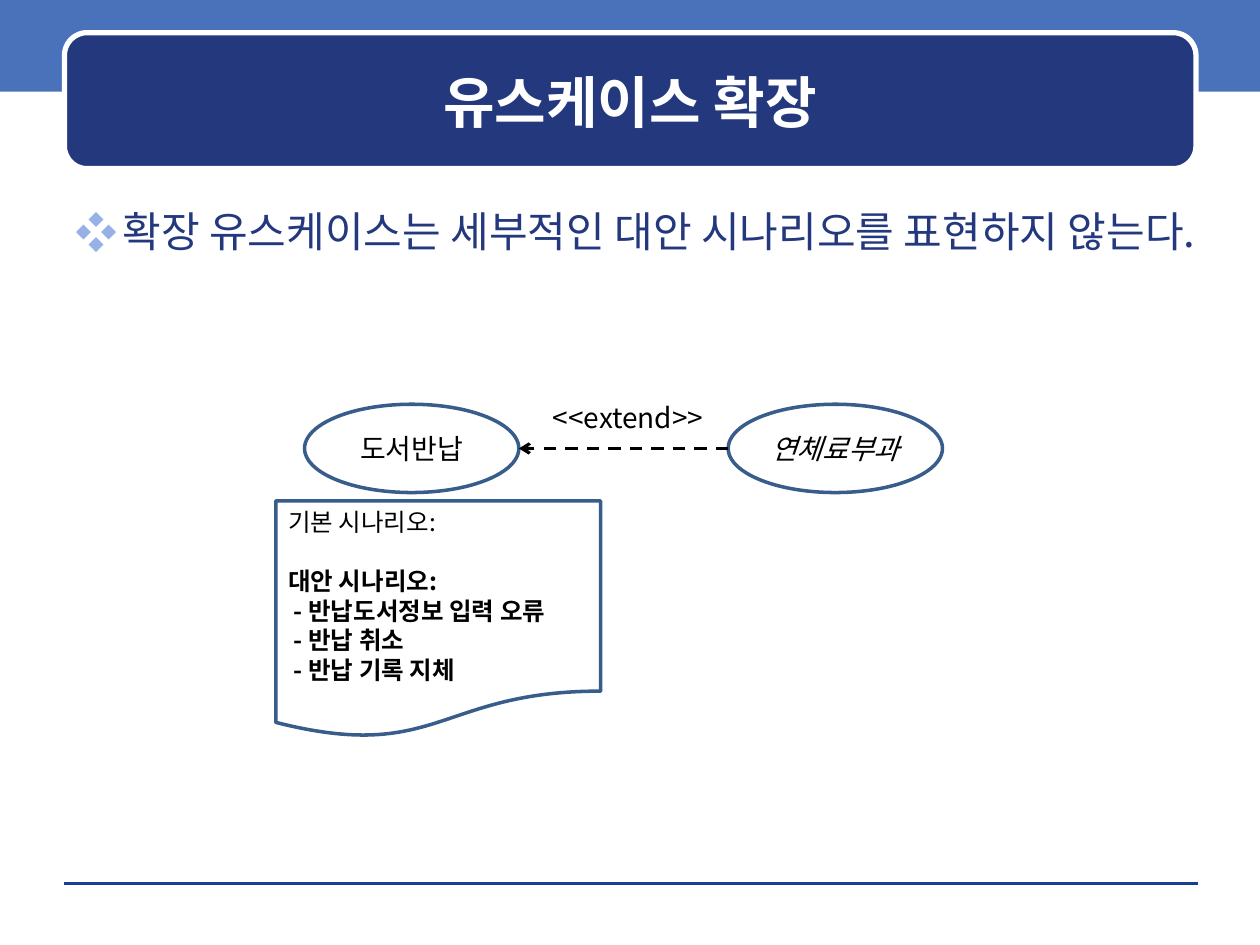
from dataclasses import dataclass

from lxml.etree import SubElement
from pptx import Presentation
from pptx.dml.color import RGBColor
from pptx.enum.dml import MSO_LINE
from pptx.enum.shapes import MSO_CONNECTOR, MSO_SHAPE
from pptx.enum.text import MSO_ANCHOR, PP_ALIGN
from pptx.oxml.ns import qn
from pptx.util import Cm, Pt


@dataclass(frozen=True)
class Theme:
    font: str = "Noto Sans CJK KR"
    band: str = "4972BB"
    navy: str = "23387D"
    bullet: str = "96B1E6"
    rule: str = "1A3D97"
    outline: str = "385D8A"
    white: str = "FFFFFF"
    black: str = "000000"
    title_size: int = 32
    body_size: int = 24
    label_size: int = 16
    note_size: int = 14


THEME = Theme()


def color(value):
    return RGBColor.from_string(value)


def format_runs(paragraph, size, text_color, bold=False, italic=False):
    for run in paragraph.runs:
        font = run.font
        font.name = THEME.font
        font.size = Pt(size)
        font.bold = bold
        font.italic = italic
        font.color.rgb = color(text_color)
        SubElement(run._r.get_or_add_rPr(), qn("a:ea"), typeface=THEME.font)


def add_panel(slide, kind, box, fill=None, line=None, width=2):
    shape = slide.shapes.add_shape(kind, *map(Cm, box))
    shape.shadow.inherit = False
    if fill:
        shape.fill.solid()
        shape.fill.fore_color.rgb = color(fill)
    else:
        shape.fill.background()
    if line:
        shape.line.color.rgb = color(line)
        shape.line.width = Pt(width)
    else:
        shape.line.fill.background()
    return shape


def add_line(slide, start, end, line_color, width):
    line = slide.shapes.add_connector(MSO_CONNECTOR.STRAIGHT, *map(Cm, start + end))
    line.line.color.rgb = color(line_color)
    line.line.width = Pt(width)
    SubElement(line._element.spPr, qn("a:effectLst"))
    return line


def add_header(slide, box, title):
    left, top, width, height = box
    add_panel(slide, MSO_SHAPE.RECTANGLE, (0, -0.08, 25.4, 1.93), THEME.band)
    add_panel(slide, MSO_SHAPE.ROUNDED_RECTANGLE, box, THEME.navy, THEME.white, 3)
    inset = 0.23
    text_box = slide.shapes.add_textbox(
        Cm(left + inset), Cm(top + inset), Cm(width - 2 * inset), Cm(height - 2 * inset))
    frame = text_box.text_frame
    frame.word_wrap = True
    frame.vertical_anchor = MSO_ANCHOR.MIDDLE
    frame.text = title
    paragraph = frame.paragraphs[0]
    paragraph.alignment = PP_ALIGN.CENTER
    format_runs(paragraph, THEME.title_size, THEME.white, bold=True)


def add_body(slide, box, text):
    frame = slide.shapes.add_textbox(*map(Cm, box)).text_frame
    frame.word_wrap = True
    frame.text = text
    paragraph = frame.paragraphs[0]
    properties = paragraph._p.get_or_add_pPr()
    properties.set("marL", str(Cm(0.95)))
    properties.set("indent", str(-Cm(0.95)))
    bullet_color = SubElement(properties, qn("a:buClr"))
    SubElement(bullet_color, qn("a:srgbClr"), val=THEME.bullet)
    SubElement(properties, qn("a:buFont"), typeface=THEME.font)
    SubElement(properties, qn("a:buChar"), char="❖")
    format_runs(paragraph, THEME.body_size, THEME.navy)


def add_use_case(slide, box, name, italic=False):
    ellipse = add_panel(slide, MSO_SHAPE.OVAL, box, line=THEME.outline)
    frame = ellipse.text_frame
    frame.margin_left = frame.margin_right = 0
    frame.vertical_anchor = MSO_ANCHOR.MIDDLE
    frame.text = name
    paragraph = frame.paragraphs[0]
    paragraph.alignment = PP_ALIGN.CENTER
    format_runs(paragraph, THEME.label_size, THEME.black, italic=italic)


def add_extend_arrow(slide, start, end, label):
    arrow = add_line(slide, start, end, THEME.black, 1.75)
    arrow.line.dash_style = MSO_LINE.DASH
    SubElement(arrow.line._get_or_add_ln(), qn("a:tailEnd"), type="arrow")
    label_width = 3.63
    label_left = (start[0] + end[0] - label_width) / 2 + 0.14
    text_box = slide.shapes.add_textbox(
        Cm(label_left), Cm(end[1] - 1.09), Cm(label_width), Cm(0.94))
    frame = text_box.text_frame
    frame.word_wrap = False
    frame.text = label
    format_runs(frame.paragraphs[0], THEME.label_size, THEME.black)


def add_scenario_note(slide, box, basic, alternative, items):
    note = add_panel(slide, MSO_SHAPE.FLOWCHART_DOCUMENT, box, line=THEME.outline)
    frame = note.text_frame
    frame.vertical_anchor = MSO_ANCHOR.TOP
    frame.text = "\n".join([basic, alternative] + [f"- {item}" for item in items])
    for index, paragraph in enumerate(frame.paragraphs):
        paragraph.alignment = PP_ALIGN.LEFT
        if index > 1:
            paragraph._p.get_or_add_pPr().set("marL", str(Cm(0.11)))
        format_runs(paragraph, THEME.note_size, THEME.black, bold=index > 0)
    frame.paragraphs[1].space_before = Pt(17)


def add_diagram(slide, box):
    left, top, width, height = box
    case_width, case_height = 4.32, 1.78
    case_left = left + 0.58
    extension_left = left + width - case_width
    middle = top + case_height / 2
    add_use_case(slide, (case_left, top, case_width, case_height), "도서반납")
    add_use_case(slide, (extension_left, top, case_width, case_height), "연체료부과", italic=True)
    add_extend_arrow(
        slide, (extension_left, middle), (case_left + case_width, middle), "<<extend>>")
    note_height = 4.78
    add_scenario_note(
        slide, (left, top + height - note_height, 6.55, note_height),
        "기본 시나리오:", "대안 시나리오:",
        ["반납도서정보 입력 오류", "반납 취소", "반납 기록 지체"])


def main():
    presentation = Presentation()
    presentation.slide_width = Cm(25.4)
    presentation.slide_height = Cm(19.05)
    slide = presentation.slides.add_slide(presentation.slide_layouts[6])
    add_header(slide, (1.3, 0.66, 22.81, 2.74), "유스케이스 확장")
    add_line(slide, (1.3, 17.81), (24.16, 17.81), THEME.rule, 0)
    add_body(slide, (1.27, 4.01, 22.86, 13.54),
             "확장 유스케이스는 세부적인 대안 시나리오를 표현하지 않는다.")
    add_diagram(slide, (5.56, 8.15, 13.44, 6.73))
    presentation.save("out.pptx")


if __name__ == "__main__":
    main()
